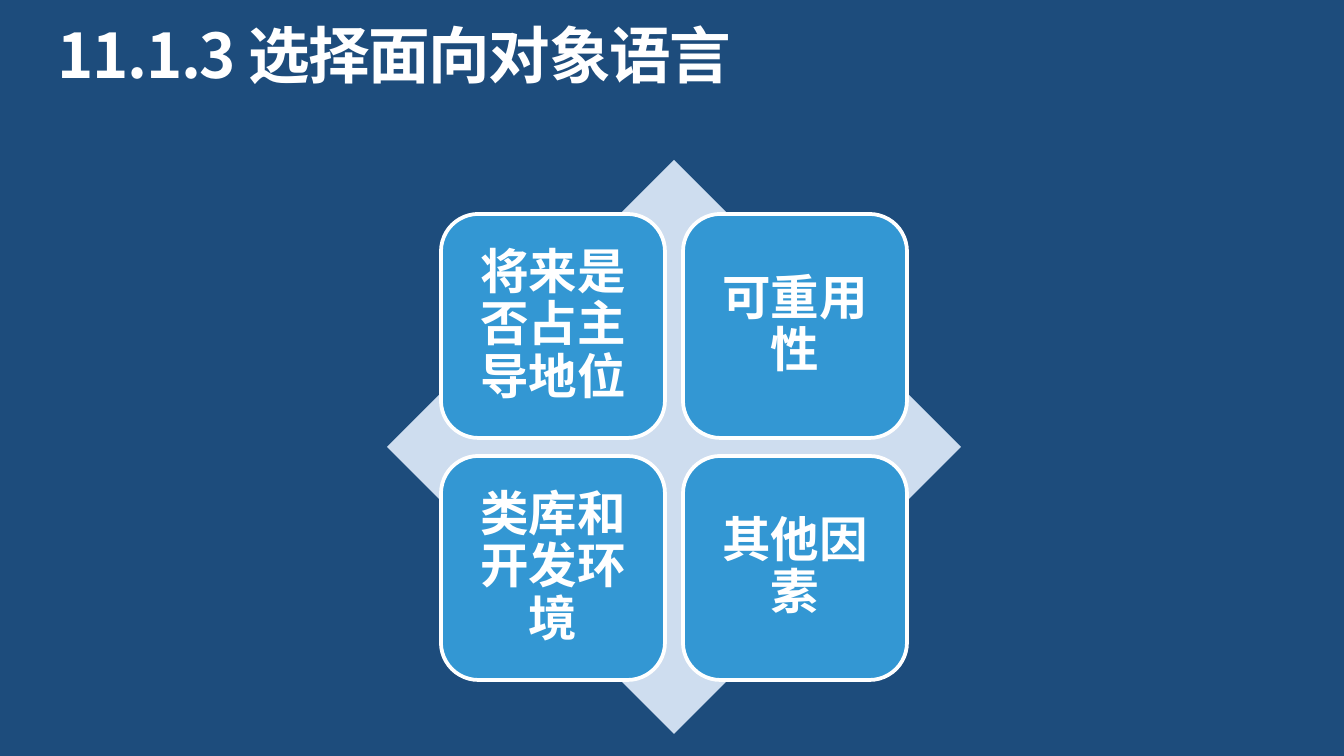
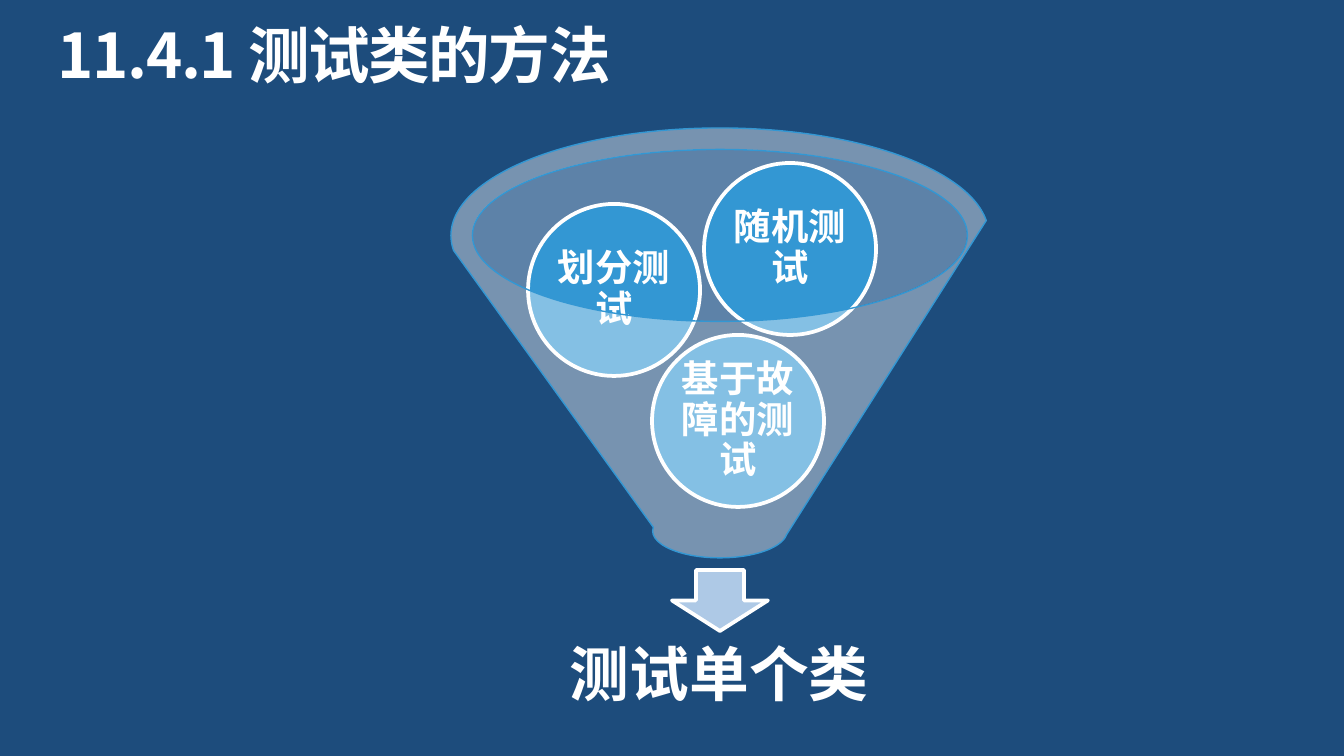
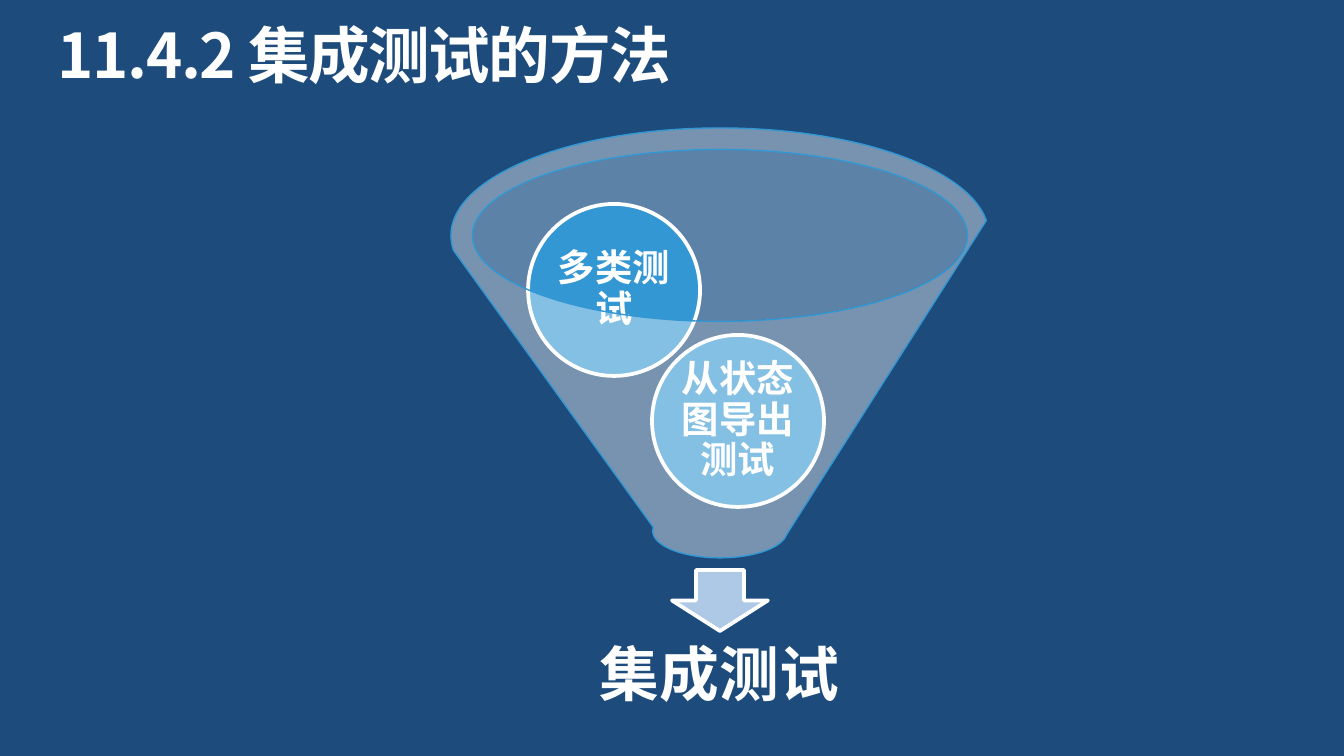
import pptx
import pptx.dml.color
import pptx.enum.shapes
import pptx.enum.text
import pptx.oxml.ns
import pptx.util
import lxml.etree

RGBColor = pptx.dml.color.RGBColor
Shape = pptx.enum.shapes.MSO_SHAPE
Align = pptx.enum.text.PP_ALIGN
Anchor = pptx.enum.text.MSO_ANCHOR
AutoSize = pptx.enum.text.MSO_AUTO_SIZE

NAVY = RGBColor(0x1D, 0x4C, 0x7C)
WHITE = RGBColor(0xFF, 0xFF, 0xFF)
BLUE = RGBColor(0x33, 0x97, 0xD3)
PALE_BLUE = RGBColor(0xCE, 0xDD, 0xEF)
RIM_BLUE = RGBColor(0xBF, 0xD3, 0xEA)
ARROW_BLUE = RGBColor(0xAE, 0xC9, 0xE6)
FONT = "Noto Sans CJK SC"

FACTORS = {
    "title": "11.1.3 选择面向对象语言",
    "tiles": ["将来是否占主导地位", "可重用性", "类库和开发环境", "其他因素"],
}
FUNNELS = [
    {
        "title": "11.4.1 测试类的方法",
        "balls": ["基于故障的测试", "划分测试", "随机测试"],
        "result": "测试单个类",
    },
    {
        "title": "11.4.2 集成测试的方法",
        "balls": ["从状态图导出测试", "多类测试"],
        "result": "集成测试",
    },
]

SLIDE_SIZE = (1344, 756)
TITLE_BOX = (58, 25, 1230, 67)
DIAMOND_LEFT, DIAMOND_TOP, DIAMOND_SIZE = 387, 160, 574
TILE_SIZE, TILE_PITCH = 224, 242
BALL_SIZE = 172
BALL_CORNERS = [(652, 335), (528, 204), (704, 163)]


def px(length):
    return pptx.util.Emu(round(length * 914400 / 134.4))


def place(shape, box):
    shape.left, shape.top, shape.width, shape.height = map(px, box)


def write(shape, text, size, inset, align=Align.CENTER, anchor=Anchor.MIDDLE):
    frame = shape.text_frame
    frame.word_wrap = True
    frame.vertical_anchor = anchor
    frame.margin_left = frame.margin_right = px(inset)
    frame.margin_top = frame.margin_bottom = px(inset)
    para = frame.paragraphs[0]
    para.text = text
    para.alignment = align
    para.line_spacing = 0.9
    font = para.font
    font.size = pptx.util.Pt(size)
    font.bold = True
    font.color.rgb = WHITE
    font.name = FONT
    east_asian = lxml.etree.SubElement(font._element, pptx.oxml.ns.qn("a:ea"))
    east_asian.set("typeface", FONT)
    return font


def add_shape(page, kind, box, fill, line=None, line_width=2, opacity=100):
    shape = page.shapes.add_shape(kind, *map(px, box))
    shape.shadow.inherit = False
    shape.fill.solid()
    shape.fill.fore_color.rgb = fill
    if opacity < 100:
        color = shape.fill._xPr.find(".//" + pptx.oxml.ns.qn("a:srgbClr"))
        alpha = lxml.etree.SubElement(color, pptx.oxml.ns.qn("a:alpha"))
        alpha.set("val", str(opacity * 1000))
    if line is None:
        shape.line.fill.background()
    else:
        shape.line.color.rgb = line
        shape.line.width = pptx.util.Pt(line_width)
    return shape


def add_page(deck, title):
    page = deck.slides.add_slide(deck.slide_layouts[5])
    heading = page.shapes.title
    place(heading, TITLE_BOX)
    font = write(heading, title, 33, 0, Align.LEFT, Anchor.TOP)
    font._element.set("spc", "-80")
    heading.text_frame.auto_size = AutoSize.SHAPE_TO_FIT_TEXT
    return page


def add_factors_page(deck, content):
    page = add_page(deck, content["title"])
    add_shape(page, Shape.DIAMOND,
              (DIAMOND_LEFT, DIAMOND_TOP, DIAMOND_SIZE, DIAMOND_SIZE), PALE_BLUE)
    margin = (DIAMOND_SIZE - TILE_PITCH - TILE_SIZE) // 2
    for index, text in enumerate(content["tiles"]):
        row, column = divmod(index, 2)
        left = DIAMOND_LEFT + margin + column * TILE_PITCH
        top = DIAMOND_TOP + margin + row * TILE_PITCH
        tile = add_shape(page, Shape.ROUNDED_RECTANGLE,
                         (left, top, TILE_SIZE, TILE_SIZE), BLUE, WHITE)
        write(tile, text, 26, 15)


def add_funnel_page(deck, content):
    page = add_page(deck, content["title"])
    add_shape(page, Shape.OVAL, (472, 149, 495, 172), RIM_BLUE, opacity=40)
    add_shape(page, Shape.DOWN_ARROW, (672, 570, 96, 61), ARROW_BLUE, WHITE)
    result = page.shapes.add_textbox(*map(px, (489, 619, 461, 116)))
    write(result, content["result"], 32, 33)
    for text, corner in zip(content["balls"], BALL_CORNERS):
        ball = add_shape(page, Shape.OVAL, (*corner, BALL_SIZE, BALL_SIZE), BLUE, WHITE)
        write(ball, text, 20, 4)
    add_shape(page, Shape.FUNNEL, (451, 128, 538, 430), WHITE, BLUE, 0.75, 40)


def main():
    deck = pptx.Presentation()
    deck.slide_width, deck.slide_height = map(px, SLIDE_SIZE)
    background = deck.slide_master.background.fill
    background.solid()
    background.fore_color.rgb = NAVY
    add_factors_page(deck, FACTORS)
    for content in FUNNELS:
        add_funnel_page(deck, content)
    deck.save("out.pptx")


if __name__ == "__main__":
    main()
